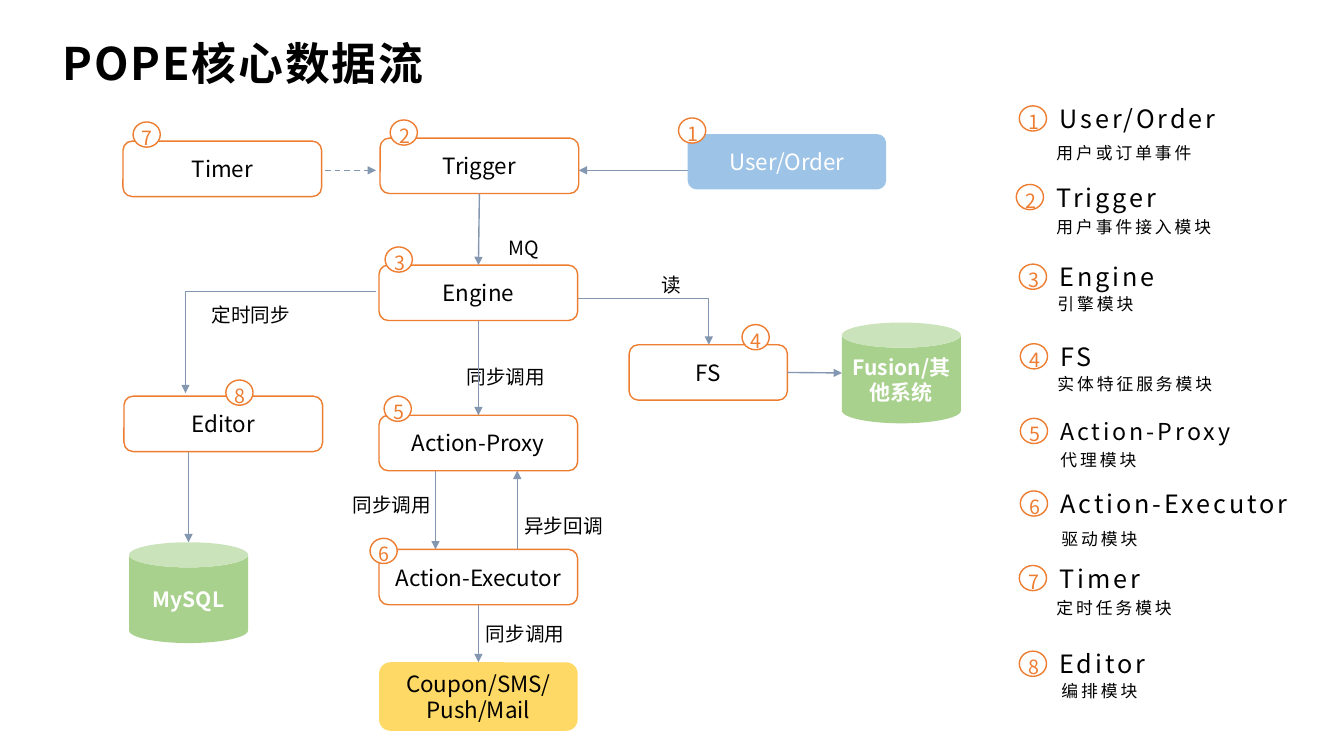
from lxml import etree
from pptx import Presentation
from pptx.dml.color import RGBColor
from pptx.enum import dml, shapes, text
from pptx.oxml import ns
from pptx.util import Inches, Pt

FONT = "Noto Sans CJK SC"
BLACK = RGBColor(0x00, 0x00, 0x00)
WHITE = RGBColor(0xFF, 0xFF, 0xFF)
ORANGE = RGBColor(0xED, 0x7D, 0x31)
STEEL = RGBColor(0x84, 0x97, 0xB0)
BLUE = RGBColor(0x9D, 0xC3, 0xE6)
GREEN = RGBColor(0xA9, 0xD1, 0x8E)
YELLOW = RGBColor(0xFF, 0xD9, 0x66)

TITLE = "POPE核心数据流"

MODULE_STYLE = dict(fill=WHITE, outline=ORANGE, color=BLACK)
SOURCE_STYLE = dict(fill=BLUE, outline=None, color=WHITE)
CHANNEL_STYLE = dict(fill=YELLOW, outline=None, color=BLACK)
NODE_WIDTH, NODE_HEIGHT = 1.97, 0.55
# key: (lines, left, top, width, height, style)
NODES = {
    "trigger": (["Trigger"], 3.77, 1.37, NODE_WIDTH, NODE_HEIGHT, MODULE_STYLE),
    "timer": (["Timer"], 1.22, 1.4, NODE_WIDTH, NODE_HEIGHT, MODULE_STYLE),
    "engine": (["Engine"], 3.76, 2.63, NODE_WIDTH, NODE_HEIGHT, MODULE_STYLE),
    "proxy": (["Action-Proxy"], 3.76, 4.12, NODE_WIDTH, NODE_HEIGHT, MODULE_STYLE),
    "executor": (["Action-Executor"], 3.76, 5.45, NODE_WIDTH, NODE_HEIGHT, MODULE_STYLE),
    "channels": (["Coupon/SMS/", "Push/Mail"], 3.76, 6.57, NODE_WIDTH, 0.68, CHANNEL_STYLE),
    "editor": (["Editor"], 1.23, 3.93, NODE_WIDTH, NODE_HEIGHT, MODULE_STYLE),
    "user": (["User/Order"], 6.82, 1.33, NODE_WIDTH, NODE_HEIGHT, SOURCE_STYLE),
    "fs": (["FS"], 6.24, 3.42, 1.57, NODE_HEIGHT, MODULE_STYLE),
}
STORES = [("Fusion/其他系统", 8.35, 3.2), ("MySQL", 1.28, 5.38)]
FLOW_LABELS = [
    ("读", 6.46, 2.66, 0.4), ("定时同步", 2, 2.96, 0.99), ("MQ", 4.95, 2.29, 0.53),
    ("同步调用", 4.53, 3.57, 0.99), ("同步调用", 3.4, 4.84, 0.99),
    ("异步回调", 5.1, 5.05, 0.99), ("同步调用", 4.72, 6.12, 0.99),
]
# start, end
STRAIGHT_ARROWS = [
    ((7.51, 1.69), (5.74, 1.69)), ((1.87, 4.48), (1.87, 5.38)),
    ((4.32, 4.67), (4.32, 5.45)), ((5.13, 5.45), (5.13, 4.67)),
]
TIMER_ARROW = ((1.97, 1.69), (3.73, 1.69))
BENT_ARROWS = [((5.71, 2.96), (7.03, 3.42)), ((3.73, 2.89), (1.84, 3.9))]
DOWN_LINKS = [("trigger", "engine"), ("engine", "proxy"), ("executor", "channels")]
FS_STORE_SIDE = (8.35, 3.7)
NODE_BADGES = [
    (6.73, 1.17), (3.87, 1.19), (3.82, 2.45), (7.36, 3.22),
    (3.81, 3.93), (3.67, 5.34), (1.32, 1.21), (2.24, 3.77),
]
# name, size, badge left, badge top, description, description left, description top
LEGEND = [
    ("User/Order", 18, 10.11, 1.05, "用户或订单事件", 10.38, 1.3),
    ("Trigger", 18, 10.08, 1.83, "用户事件接入模块", 10.38, 2.04),
    ("Engine", 18, 10.11, 2.62, "引擎模块", 10.39, 2.8),
    ("FS", 18, 10.12, 3.41, "实体特征服务模块", 10.39, 3.59),
    ("Action-Proxy", 16.6, 10.12, 4.15, "代理模块", 10.42, 4.35),
    ("Action-Executor", 18, 10.12, 4.87, "驱动模块", 10.43, 5.13),
    ("Timer", 18, 10.11, 5.61, "定时任务模块", 10.38, 5.82),
    ("Editor", 18, 10.11, 6.46, "编排模块", 10.43, 6.64),
]

presentation = Presentation()
presentation.slide_width, presentation.slide_height = Inches(13.33), Inches(7.5)
slide = presentation.slides.add_slide(presentation.slide_layouts[6])


def write(shape, lines, size, color, bold=False, spacing=0, align=None,
          line_spacing=None, frame_format=None):
    frame = shape.text_frame
    for name, value in (frame_format or {}).items():
        setattr(frame, name, value)
    for index, line in enumerate(lines):
        paragraph = frame.add_paragraph() if index else frame.paragraphs[0]
        paragraph.alignment = align
        paragraph.line_spacing = line_spacing
        run = paragraph.add_run()
        run.text = line
        for name, value in dict(size=Pt(size), bold=bold, name=FONT).items():
            setattr(run.font, name, value)
        run.font.color.rgb = color
        properties = run._r.get_or_add_rPr()
        etree.SubElement(properties, ns.qn("a:ea")).set("typeface", FONT)
        if spacing:
            properties.set("spc", str(round(spacing * 100)))


def add_box(parent, preset, box, fill, outline=None):
    shape = parent.shapes.add_shape(preset, *map(Inches, box))
    shape.shadow.inherit = False
    shape.fill.solid()
    shape.fill.fore_color.rgb = fill
    if outline is None:
        shape.line.fill.background()
    else:
        shape.line.color.rgb = outline
        shape.line.width = Pt(1)
    return shape


def add_label(parent, label, box, color):
    """Add a one-line label that does not wrap."""
    write(parent.shapes.add_textbox(*map(Inches, box)), [label], 14, color,
          frame_format=dict(word_wrap=False, auto_size=text.MSO_AUTO_SIZE.SHAPE_TO_FIT_TEXT))


def add_wide_text(content, box, size, **style):
    """Add a wrapping text box anchored in the middle."""
    shape = slide.shapes.add_textbox(*map(Inches, box))
    shape.text_frame.word_wrap = True
    shape.text_frame.vertical_anchor = text.MSO_ANCHOR.MIDDLE
    write(shape, [content], size, BLACK, **style)


def add_arrow(start, end, bent=False):
    kind = shapes.MSO_CONNECTOR.ELBOW if bent else shapes.MSO_CONNECTOR.STRAIGHT
    arrow = slide.shapes.add_connector(kind, *map(Inches, start + end))
    arrow.line.color.rgb = STEEL
    arrow.line.width = Pt(1)
    properties = arrow._element.spPr
    etree.SubElement(arrow.line._get_or_add_ln(), ns.qn("a:tailEnd")).set("type", "triangle")
    etree.SubElement(properties, ns.qn("a:effectLst"))
    if bent:
        properties.find(ns.qn("a:prstGeom")).set("prst", "bentConnector2")
    return arrow


def add_badge(number, left, top):
    group = slide.shapes.add_group_shape()
    add_box(group, shapes.MSO_SHAPE.OVAL, (left, top, 0.27, 0.25), WHITE, ORANGE)
    add_label(group, str(number), (left - 0.01, top - 0.01, 0.32, 0.32), ORANGE)


add_wide_text(TITLE, (0.57, 0.31, 6.16, 0.62), 32, bold=True, spacing=1.3,
              frame_format={f"margin_{side}": Inches(0.05)
                            for side in ("left", "top", "right", "bottom")})

timer_arrow = add_arrow(*TIMER_ARROW)
timer_arrow.line.dash_style = dml.MSO_LINE.DASH
for start, end in STRAIGHT_ARROWS:
    add_arrow(start, end)
for start, end in BENT_ARROWS:
    add_arrow(start, end, bent=True)
for label, left, top, width in FLOW_LABELS:
    add_label(slide, label, (left, top, width, 0.32), BLACK)

MIDDLE = dict(word_wrap=True, vertical_anchor=text.MSO_ANCHOR.MIDDLE)
nodes = {}
for key, (lines, left, top, width, height, style) in NODES.items():
    nodes[key] = add_box(slide, shapes.MSO_SHAPE.ROUNDED_RECTANGLE,
                         (left, top, width, height), style["fill"], style["outline"])
    write(nodes[key], lines, 16, style["color"], align=text.PP_ALIGN.CENTER, frame_format=MIDDLE)
for name, left, top in STORES:
    store = add_box(slide, shapes.MSO_SHAPE.CAN, (left, top, 1.18, 1), GREEN)
    write(store, [name], 15, WHITE, bold=True, align=text.PP_ALIGN.CENTER, frame_format=MIDDLE)

for upper, lower in DOWN_LINKS:
    link = add_arrow((0, 0), (1, 1))
    link.begin_connect(nodes[upper], 2)
    link.end_connect(nodes[lower], 0)
add_arrow((7.81, 3.69), FS_STORE_SIDE).begin_connect(nodes["fs"], 3)

for number, (left, top) in enumerate(NODE_BADGES, 1):
    add_badge(number, left, top)
for number, (name, size, left, top, note, note_left, note_top) in enumerate(LEGEND, 1):
    add_badge(number, left, top)
    add_wide_text(name, (left + 0.3, top - 0.09, 2.66, 0.47), size, spacing=2.1, line_spacing=0.9)
    add_wide_text(note, (note_left, note_top, 2.2, 0.45), 12, spacing=2.1, line_spacing=0.9)

presentation.save("out.pptx")
